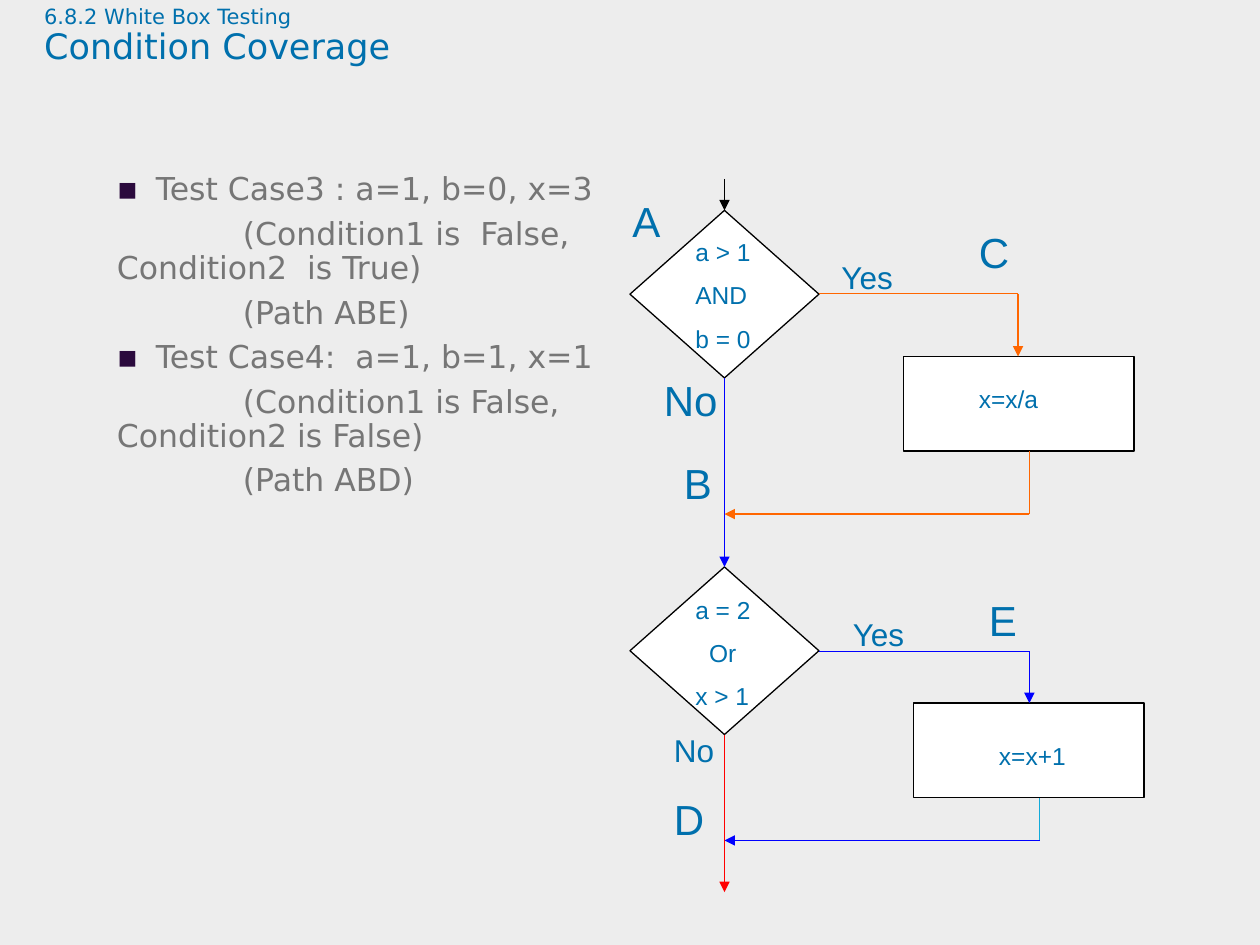
from copy import deepcopy

from lxml import etree
from pptx import Presentation
from pptx.dml.color import RGBColor
from pptx.enum.shapes import MSO_CONNECTOR, MSO_SHAPE
from pptx.enum.text import MSO_ANCHOR, PP_ALIGN
from pptx.oxml.ns import qn
from pptx.util import Inches, Pt

DECISION = MSO_SHAPE.FLOWCHART_DECISION
PROCESS = MSO_SHAPE.FLOWCHART_PROCESS
STRAIGHT = MSO_CONNECTOR.STRAIGHT

COLORS = {
    "background": "EDEDED",
    "white": "FFFFFF",
    "black": "000000",
    "heading": "0070AD",
    "body": "767676",
    "bullet": "2B0A3D",
    "blue": "0000FF",
    "cyan": "12ABDB",
    "red": "FF0000",
    "orange": "FF6600",
}


def rgb(name):
    return RGBColor.from_string(COLORS[name])


def write_text(text_frame, lines, size, font="Arial", color="heading",
               line_spacing=None, before=0, after=0):
    """Fill the frame with one left-aligned paragraph per line."""
    text_frame.word_wrap = True
    text_frame.vertical_anchor = MSO_ANCHOR.TOP
    for index, line in enumerate(lines):
        paragraph = text_frame.add_paragraph() if index else text_frame.paragraphs[0]
        paragraph.text = line
        paragraph.alignment = PP_ALIGN.LEFT
        paragraph.line_spacing = line_spacing
        paragraph.space_before = Pt(before if index else 0)
        paragraph.space_after = Pt(after)
        for run in paragraph.runs:
            run.font.size = Pt(size)
            run.font.name = font
            run.font.color.rgb = rgb(color)


presentation = Presentation()
presentation.slide_width = Inches(10)
presentation.slide_height = Inches(7.5)
slide = presentation.slides.add_slide(presentation.slide_layouts[5])
slide.background.fill.solid()
slide.background.fill.fore_color.rgb = rgb("background")

# Title: a small section line above the heading
title = slide.shapes.title
title.left, title.top = Inches(0.25), Inches(0)
title.width, title.height = Inches(10), Inches(1.1)
write_text(title.text_frame, ["6.8.2 White Box Testing\vCondition Coverage"],
           20, font="DejaVu Sans", line_spacing=0.9)
title_paragraph = title.text_frame.paragraphs[0]
section_run = title_paragraph.runs[0]
section_run.font.size = Pt(12)
line_break = title_paragraph._p.find(qn("a:br"))
line_break.append(deepcopy(section_run._r.rPr))

# Flowchart nodes
nodes = [
    (DECISION, 5, 1.67, 1.5, 1.33),
    (PROCESS, 7.17, 2.83, 1.83, 0.75),
    (DECISION, 5, 4.5, 1.5, 1.33),
    (PROCESS, 7.25, 5.58, 1.83, 0.75),
]
for kind, left, top, width, height in nodes:
    node = slide.shapes.add_shape(
        kind, Inches(left), Inches(top), Inches(width), Inches(height))
    node.shadow.inherit = False
    node.fill.solid()
    node.fill.fore_color.rgb = rgb("white")
    node.line.color.rgb = rgb("black")
    node.line.width = Pt(0.75)

# Flow lines: start, end, colour, arrowhead at the end
flow_lines = [
    ((5.75, 3), (5.75, 4.5), "blue", True),
    ((6.5, 5.17), (8.17, 5.17), "blue", False),
    ((8.17, 5.17), (8.17, 5.58), "blue", True),
    ((8.25, 6.33), (8.25, 6.67), "cyan", False),
    ((8.25, 6.67), (5.75, 6.67), "blue", True),
    ((5.75, 5.83), (5.75, 7.08), "red", True),
    ((5.75, 1.42), (5.75, 1.67), "black", True),
    ((6.5, 2.33), (8.08, 2.33), "orange", False),
    ((8.08, 2.33), (8.08, 2.83), "orange", True),
    ((8.17, 3.58), (8.17, 4.08), "orange", False),
    ((8.17, 4.08), (5.75, 4.08), "orange", True),
]
for start, end, color, has_arrow in flow_lines:
    connector = slide.shapes.add_connector(
        STRAIGHT, *(Inches(value) for value in start + end))
    connector.line.color.rgb = rgb(color)
    connector.line.width = Pt(0.75)
    if has_arrow:
        etree.SubElement(connector.line._get_or_add_ln(), qn("a:tailEnd"), type="triangle")
    etree.SubElement(connector._element.spPr, qn("a:effectLst"))

# Labels: lines, size, left, top, width, height
labels = [
    (["A"], 24, 4.92, 1.5, 0.83, 0.5),
    (["B"], 24, 5.33, 3.58, 0.42, 0.5),
    (["D"], 24, 5.25, 6.25, 0.44, 0.5),
    (["C"], 24, 7.67, 1.75, 0.45, 0.51),
    (["E"], 24, 7.75, 4.67, 0.43, 0.51),
    (["x=x/a"], 14, 7.67, 3, 1.5, 0.33),
    (["x=x+1"], 14, 7.83, 5.83, 1.58, 0.33),
    (["a = 2", "Or", "x > 1"], 14, 5.42, 4.67, 0.83, 1.04),
    (["a > 1", "AND", "b = 0"], 14, 5.42, 1.83, 1.08, 1.04),
    (["Yes"], 18, 6.58, 2, 0.67, 0.4),
    (["No"], 24, 5.17, 2.92, 0.92, 0.5),
    (["Yes"], 18, 6.67, 4.83, 0.67, 0.4),
    (["No"], 18, 5.25, 5.75, 0.67, 0.4),
]
for lines, size, left, top, width, height in labels:
    label = slide.shapes.add_textbox(
        Inches(left), Inches(top), Inches(width), Inches(height))
    write_text(label.text_frame, lines, size, before=8)
    for paragraph in label.text_frame.paragraphs:
        if paragraph.text == "Or":
            paragraph._p.get_or_add_pPr().set("indent", str(Inches(0.11)))

# Test cases: bulleted headings, details with an indented first line
test_cases = slide.shapes.add_textbox(
    Inches(0.33), Inches(1.33), Inches(4.67), Inches(3.33))
write_text(test_cases.text_frame, [
    "Test Case3 : a=1, b=0, x=3",
    "(Condition1 is  False, Condition2  is True)",
    "(Path ABE)",
    "Test Case4:  a=1, b=1, x=1",
    "(Condition1 is False, Condition2 is False)",
    "(Path ABD)",
], 18, font="DejaVu Sans", color="body", line_spacing=0.9, after=6)
for paragraph in test_cases.text_frame.paragraphs:
    is_heading = paragraph.text.startswith("Test Case")
    margin, indent = (0.81, -0.31) if is_heading else (0.5, 1)
    properties = paragraph._p.get_or_add_pPr()
    properties.set("marL", str(Inches(margin)))
    properties.set("indent", str(Inches(indent)))
    if is_heading:
        bullet_color = etree.SubElement(properties, qn("a:buClr"))
        etree.SubElement(bullet_color, qn("a:srgbClr"), val=COLORS["bullet"])
        etree.SubElement(properties, qn("a:buFont"), typeface="DejaVu Sans")
        etree.SubElement(properties, qn("a:buChar"), char="▪")

presentation.save("out.pptx")
